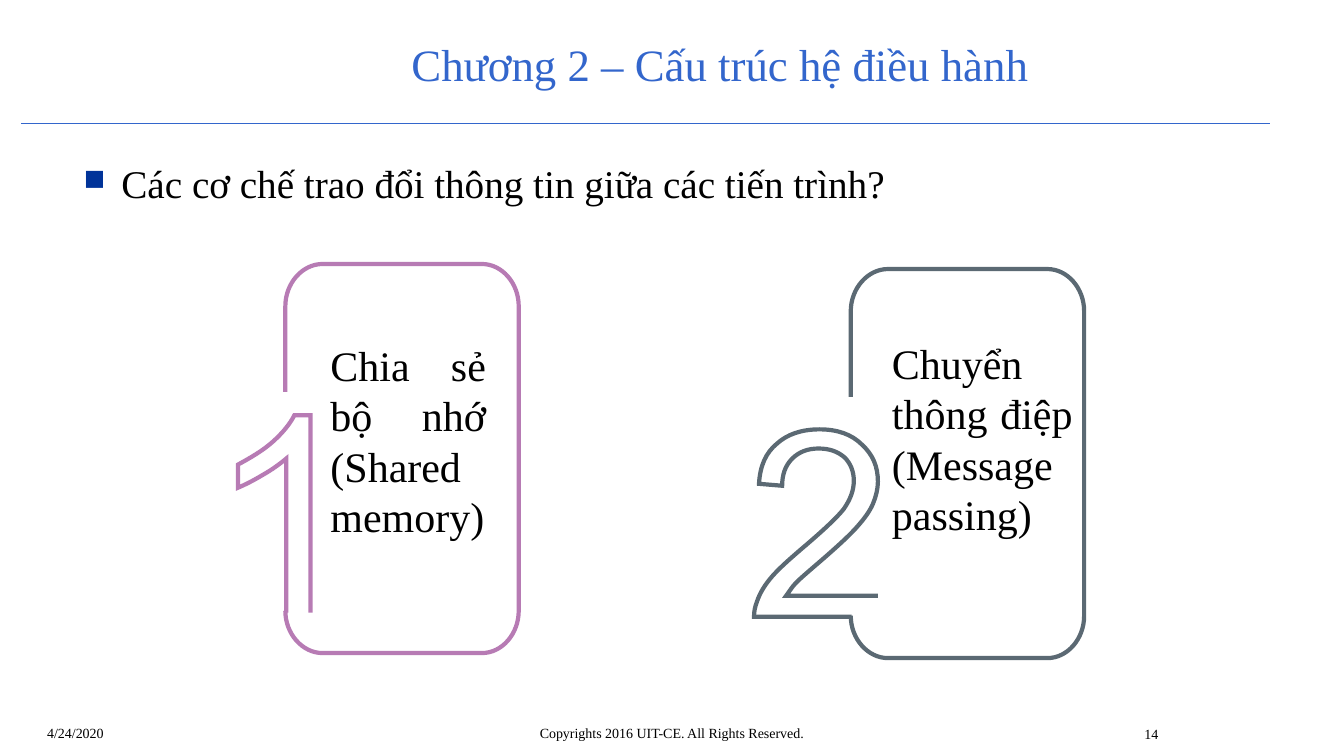
from lxml import etree
from pptx import Presentation, util as u
from pptx.dml.color import RGBColor
from pptx.enum import shapes, text
from pptx.oxml.ns import qn

Pt = u.Pt
FONT = "Times New Roman"
ALIGN = text.PP_ALIGN

CARD = [(0, 247.7), (0, 264.2, 12.2, 277.9, 26.6, 277.9), (140.4, 277.9),
        (154.8, 277.9, 166.7, 264.2, 166.7, 247.7), (166.7, 30.2),
        (166.7, 13.7, 154.8, 0, 140.4, 0), (26.6, 0),
        (12.2, 0, 0, 13.7, 0, 30.2), (0, 91.4)]
ONE = [(0.7, 249.1), (0.7, 139), (-3.6, 142.6, -9.4, 146.9, -15.8, 150.5),
       (-23, 154.8, -28.8, 157.7, -33.8, 159.8), (-33.8, 143.3),
       (-24.5, 138.2, -15.8, 133.2, -8.6, 126.7),
       (-1.4, 120.2, 3.6, 113.8, 6.5, 108), (18, 108), (18, 249.1)]
TWO = [(0.7, 248.4), (-69.1, 248.4),
       (-69.1, 244.8, -68.4, 241.2, -67, 237.6),
       (-64.8, 231.1, -61.2, 225.4, -56.2, 219.6),
       (-51.1, 213.8, -43.9, 207.4, -34.6, 199.4),
       (-20.2, 187.2, -10.1, 177.8, -5, 171.4),
       (0, 164.2, 2.2, 157.7, 2.2, 151.2),
       (2.2, 144.7, 0, 139, -4.3, 134.6),
       (-9.4, 130.3, -15.1, 128.2, -23, 128.2),
       (-30.2, 128.2, -36.7, 130.3, -41.8, 135.4),
       (-46.8, 140.4, -49, 146.9, -49, 154.8), (-65.5, 153.4),
       (-64.8, 140.4, -60.5, 131, -52.6, 124.6),
       (-45.4, 118.1, -35.3, 114.5, -22.3, 114.5),
       (-9.4, 114.5, 0.7, 118.1, 7.9, 125.3),
       (15.8, 132.5, 19.4, 141.1, 19.4, 151.9),
       (19.4, 157, 18, 162.7, 15.8, 167.8),
       (13.7, 172.8, 10.1, 177.8, 5, 183.6),
       (0, 189.4, -8.6, 197.3, -20.2, 207.4),
       (-30.2, 216, -36, 221, -38.9, 223.9),
       (-41.8, 226.8, -43.9, 230.4, -46.1, 233.3), (19.4, 233.3)]


def color(code):
    """Turn a hex string into a colour."""
    return RGBColor.from_string(code)


def style(para, size, code="000000", align=ALIGN.LEFT):
    """Format a whole paragraph."""
    para.alignment = align
    para.font.name, para.font.size = FONT, Pt(size)
    para.font.color.rgb = color(code)


def label(slide, box, words, size, align=ALIGN.LEFT):
    """Add a wrapped text box and return its paragraph."""
    frame = slide.shapes.add_textbox(*map(Pt, box)).text_frame
    frame.word_wrap = True
    para = frame.paragraphs[0]
    para.text = words
    style(para, size, align=align)
    return para


def bend(shape, left, top, steps):
    """Turn the segments that have control points into cubic curves."""
    lines = list(shape._element.iter(qn("a:lnTo")))
    for line, step in zip(lines, steps[1:]):
        if len(step) == 6:
            curve = etree.Element(qn("a:cubicBezTo"))
            for x, y in zip(step[::2], step[1::2]):
                etree.SubElement(curve, qn("a:pt"), x=str(Pt(left + x) - shape.left),
                                 y=str(Pt(top + y) - shape.top))
            line.getparent().replace(line, curve)


def outline(slide, left, top, steps, code, fill=None):
    """Draw an open outline relative to a corner."""
    dots = [(Pt(left + step[-2]), Pt(top + step[-1])) for step in steps]
    pen = slide.shapes.build_freeform(*dots[0])
    pen.add_line_segments(dots[1:], close=False)
    shape = pen.convert_to_shape()
    bend(shape, left, top, steps)
    shape.shadow.inherit = False
    if fill:
        shape.fill.solid()
        shape.fill.fore_color.rgb = color(fill)
    else:
        shape.fill.background()
    shape.line.color.rgb = color(code)
    shape.line.width = Pt(3)
    ln = shape.line._get_or_add_ln()
    etree.SubElement(ln, qn("a:miter"), lim="800000")


def card(slide, left, top, digit, code, words, area):
    """Draw a numbered card with its text."""
    outline(slide, left, top, CARD, code, "FFFFFF")
    outline(slide, left, top, digit, code)
    x, y, wide, high = area
    label(slide, (left + x, top + y, wide, high), words, 30, ALIGN.JUSTIFY)


def band(slide, left, top, wide, high):
    """Place the pale band and the rule of the header."""
    veil = slide.shapes.add_shape(
        shapes.MSO_SHAPE.RECTANGLE, *map(Pt, (left, top, wide, high)))
    veil.shadow.inherit = False
    veil.fill.solid()
    veil.fill.fore_color.rgb = color("FFFFFF")
    veil.line.fill.background()
    tint = veil._element.spPr.find(qn("a:solidFill"))[0]
    etree.SubElement(tint, qn("a:alpha"), val="60000")
    level = top + 84.8
    rule = slide.shapes.add_connector(
        shapes.MSO_CONNECTOR.STRAIGHT, *map(Pt, (left + 15.1, level, left + wide, level)))
    rule.line.color.rgb = color("3366CC")
    rule.line.width = Pt(0.75)
    etree.SubElement(rule._element.spPr, qn("a:effectLst"))


def header(slide, left, top, wide, high):
    """Place the title in front of the band."""
    title = slide.shapes.title
    slide.shapes._spTree.append(title._element)
    title.left, title.top, title.width, title.height = map(Pt, (left, top, wide, high))
    frame = title.text_frame
    frame.text = "Chương 2 – Cấu trúc hệ điều hành"
    frame.vertical_anchor = text.MSO_ANCHOR.MIDDLE
    style(frame.paragraphs[0], 32, "3366CC", ALIGN.CENTER)


def topic(slide, box):
    """Place the bulleted question."""
    para = label(slide, box, "Các cơ chế trao đổi thông tin giữa các tiến trình?", 28)
    props = para._p.get_or_add_pPr()
    props.set("marL", str(Pt(27)))
    props.set("indent", str(-Pt(27)))
    tint = etree.SubElement(props, qn("a:buClr"))
    etree.SubElement(tint, qn("a:srgbClr"), val="003399")
    size = etree.Element(qn("a:buSzPct"), val="75000")
    face = etree.Element(qn("a:buFont"), typeface="Wingdings")
    mark = etree.Element(qn("a:buChar"), char="n")
    for spot, part in enumerate((tint, size, face, mark)):
        props.insert(spot, part)


def footer(slide, top):
    """Place the date, the copyright line and the page number."""
    label(slide, (798.5, top + 0.7, 36, 37.4), "14", 10, ALIGN.RIGHT)
    label(slide, (26.6, top, 223.9, 23), "4/24/2020", 10)
    label(slide, (185, top, 589.7, 23),
          "Copyrights 2016 UIT-CE. All Rights Reserved.", 10, ALIGN.CENTER)


def main():
    """Build the slide and save it."""
    deck = Presentation()
    deck.slide_width, deck.slide_height = Pt(960), Pt(540)
    slide = deck.slides.add_slide(deck.slide_layouts[5])
    band(slide, 0, 3.6, 907.2, 102.2)
    footer(slide, 514.1)
    header(slide, 224.9, 18, 578.9, 54.7)
    topic(slide, (52.6, 110.4, 637.2, 54.7))
    card(slide, 203.8, 188.6, ONE, "B77BB4",
         "Chia sẻ bộ nhớ (Shared memory)", (25.2, 50.4, 125.3, 152.6))
    card(slide, 607.7, 192.2, TWO, "5B6973",
         "Chuyển thông điệp (Message passing)", (22.3, 45.4, 143.3, 189.4))
    deck.save("out.pptx")


if __name__ == "__main__":
    main()
